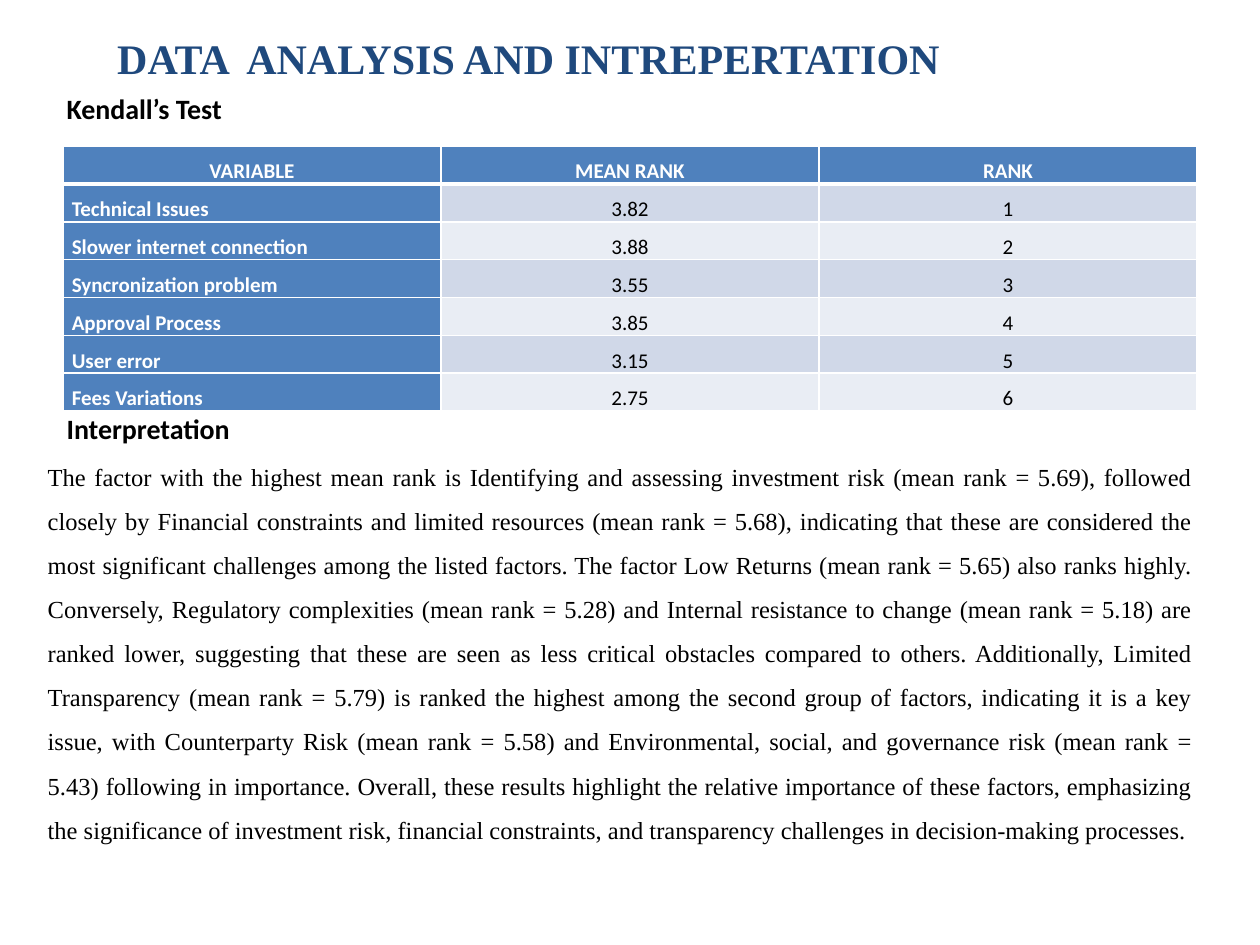
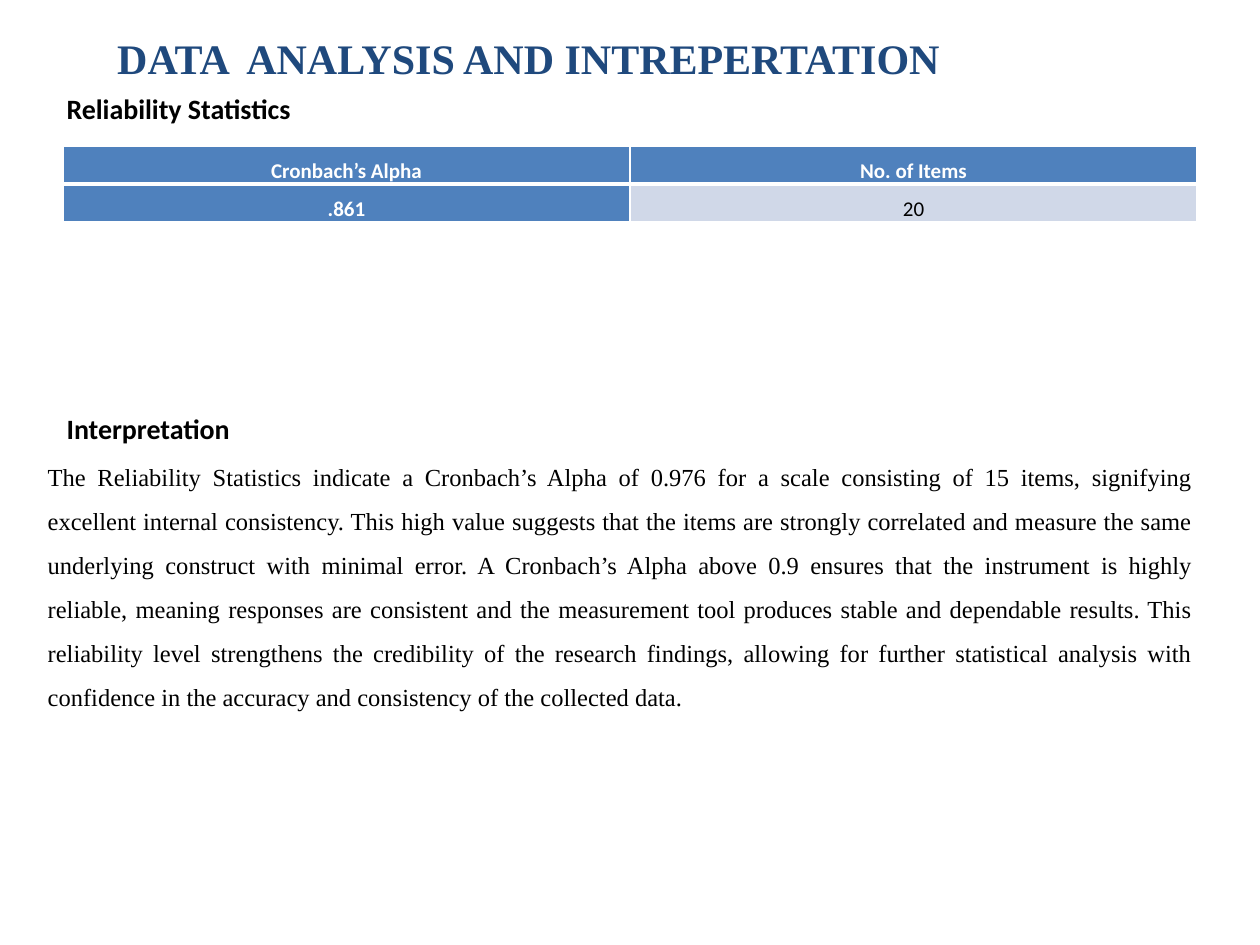
from lxml.etree import SubElement
from pptx import Presentation
from pptx.dml.color import RGBColor
from pptx.enum.text import MSO_ANCHOR, MSO_AUTO_SIZE, PP_ALIGN
from pptx.oxml.ns import qn
from pptx.util import Inches, Pt

# Shared colours, fonts and wording
NAVY = RGBColor(0x1F, 0x49, 0x7D)
BLUE = RGBColor(0x4F, 0x81, 0xBD)
BAND_DARK = RGBColor(0xD0, 0xD8, 0xE8)
BAND_LIGHT = RGBColor(0xE9, 0xED, 0xF4)
BLACK = RGBColor(0, 0, 0)
WHITE = RGBColor(0xFF, 0xFF, 0xFF)
SERIF, SANS = "Times New Roman", "Calibri"
TITLE = "DATA  ANALYSIS AND INTREPERTATION"
TITLE_ONLY = 5

# Slide contents: table rows, and the interpretation sentence by sentence
KENDALL_ROWS = [
    ("VARIABLE", "MEAN RANK", "RANK"),
    ("Technical Issues", "3.82", "1"),
    ("Slower internet connection", "3.88", "2"),
    ("Syncronization problem", "3.55", "3"),
    ("Approval Process", "3.85", "4"),
    ("User error", "3.15", "5"),
    ("Fees Variations", "2.75", "6"),
]
KENDALL_SENTENCES = [
    "The factor with the highest mean rank is Identifying and assessing investment risk "
    "(mean rank = 5.69), followed closely by Financial constraints and limited resources "
    "(mean rank = 5.68), indicating that these are considered the most significant challenges "
    "among the listed factors.",
    "The factor Low Returns (mean rank = 5.65) also ranks highly.",
    "Conversely, Regulatory complexities (mean rank = 5.28) and Internal resistance to change "
    "(mean rank = 5.18) are ranked lower, suggesting that these are seen as less critical "
    "obstacles compared to others.",
    "Additionally, Limited Transparency (mean rank = 5.79) is ranked the highest among the "
    "second group of factors, indicating it is a key issue, with Counterparty Risk "
    "(mean rank = 5.58) and Environmental, social, and governance risk (mean rank = 5.43) "
    "following in importance.",
    "Overall, these results highlight the relative importance of these factors, emphasizing "
    "the significance of investment risk, financial constraints, and transparency challenges "
    "in decision-making processes.",
]
RELIABILITY_ROWS = [("Cronbach’s Alpha", "No. of Items"), (".861", "20")]
RELIABILITY_SENTENCES = [
    "The Reliability Statistics indicate a Cronbach’s Alpha of 0.976 for a scale consisting of "
    "15 items, signifying excellent internal consistency.",
    "This high value suggests that the items are strongly correlated and measure the same "
    "underlying construct with minimal error.",
    "A Cronbach’s Alpha above 0.9 ensures that the instrument is highly reliable, meaning "
    "responses are consistent and the measurement tool produces stable and dependable results.",
    "This reliability level strengthens the credibility of the research findings, allowing for "
    "further statistical analysis with confidence in the accuracy and consistency of the "
    "collected data.",
]


def write(tf, text, size, font, color, bold=False, align=PP_ALIGN.LEFT, spaced=False):
    p = tf.paragraphs[0]
    p.alignment = align
    if spaced:
        p.line_spacing = 1.5
        p.space_after = Pt(8)
    r = p.add_run()
    r.text = text
    r.font.size = Pt(size)
    r.font.name = font
    r.font.bold = bold
    r.font.color.rgb = color


def place_title(s, left, top, width, height):
    sp = s.shapes.title
    sp.left, sp.top, sp.width, sp.height = map(Inches, (left, top, width, height))
    tf = sp.text_frame
    tf.auto_size = MSO_AUTO_SIZE.NONE
    tf.vertical_anchor = MSO_ANCHOR.TOP
    write(tf, TITLE, 24, SERIF, NAVY, bold=True)


def add_text_box(s, left, top, width, height, wrap):
    sp = s.shapes.add_textbox(*map(Inches, (left, top, width, height)))
    tf = sp.text_frame
    tf.word_wrap = wrap
    tf.auto_size = MSO_AUTO_SIZE.SHAPE_TO_FIT_TEXT
    return tf


def add_heading(s, text, left, top, width, height=0.37):
    tf = add_text_box(s, left, top, width, height, wrap=False)
    write(tf, text, 16, SANS, BLACK, bold=True)


def add_interpretation(s, sentences, left, top, width, height):
    add_heading(s, "Interpretation", left + 0.15, top - 0.28, 1.51)
    tf = add_text_box(s, left, top, width, height, wrap=True)
    write(tf, " ".join(sentences), 14, SERIF, BLACK, align=PP_ALIGN.JUSTIFY, spaced=True)


def set_borders(cell, **widths):
    tc_pr = cell._tc.get_or_add_tcPr()
    for side in "LRTB":
        ln = SubElement(tc_pr, qn(f"a:ln{side}"), w=str(Pt(widths.get(side, 1))))
        fill = SubElement(ln, qn("a:solidFill"))
        SubElement(fill, qn("a:srgbClr"), val=str(WHITE))


def add_data_table(s, rows, label_align, left, top, width, row_height=0.27):
    n_rows, n_cols = len(rows), len(rows[0])
    box = map(Inches, (left, top, width, row_height * n_rows))
    table = s.shapes.add_table(n_rows, n_cols, *box).table
    table.first_col = True
    for i, values in enumerate(rows):
        table.rows[i].height = Inches(row_height)
        for j, value in enumerate(values):
            cell = table.cell(i, j)
            cell.margin_left = cell.margin_right = Inches(0.07)
            cell.margin_top = cell.margin_bottom = 0
            # A thick rule separates the header from the body
            set_borders(cell, B=3 if i == 0 else 1, T=3 if i == 1 else 1)
            strong = i == 0 or j == 0
            band = BAND_DARK if i % 2 else BAND_LIGHT
            cell.fill.solid()
            cell.fill.fore_color.rgb = BLUE if strong else band
            align = label_align if i and j == 0 else PP_ALIGN.CENTER
            write(cell.text_frame, value, 12, SANS, WHITE if strong else BLACK,
                  bold=strong, align=align, spaced=True)


def add_analysis_slide(prs, heading, heading_width, rows, label_align, sentences, text_height):
    s = prs.slides.add_slide(prs.slide_layouts[TITLE_ONLY])
    place_title(s, 0.83, 0.21, 8.11, 0.5)
    add_heading(s, heading, 0.43, 0.68, heading_width)
    add_interpretation(s, sentences, 0.28, 3.5, 9.29, text_height)
    add_data_table(s, rows, label_align, 0.5, 1.16, 9)


def main():
    prs = Presentation()
    prs.slide_width, prs.slide_height = Inches(10), Inches(7.5)
    add_analysis_slide(prs, "Kendall’s Test", 1.45, KENDALL_ROWS,
                       PP_ALIGN.JUSTIFY, KENDALL_SENTENCES, 3.24)
    add_analysis_slide(prs, "Reliability Statistics", 2, RELIABILITY_ROWS,
                       PP_ALIGN.CENTER, RELIABILITY_SENTENCES, 2.18)
    prs.save("out.pptx")


if __name__ == "__main__":
    main()
